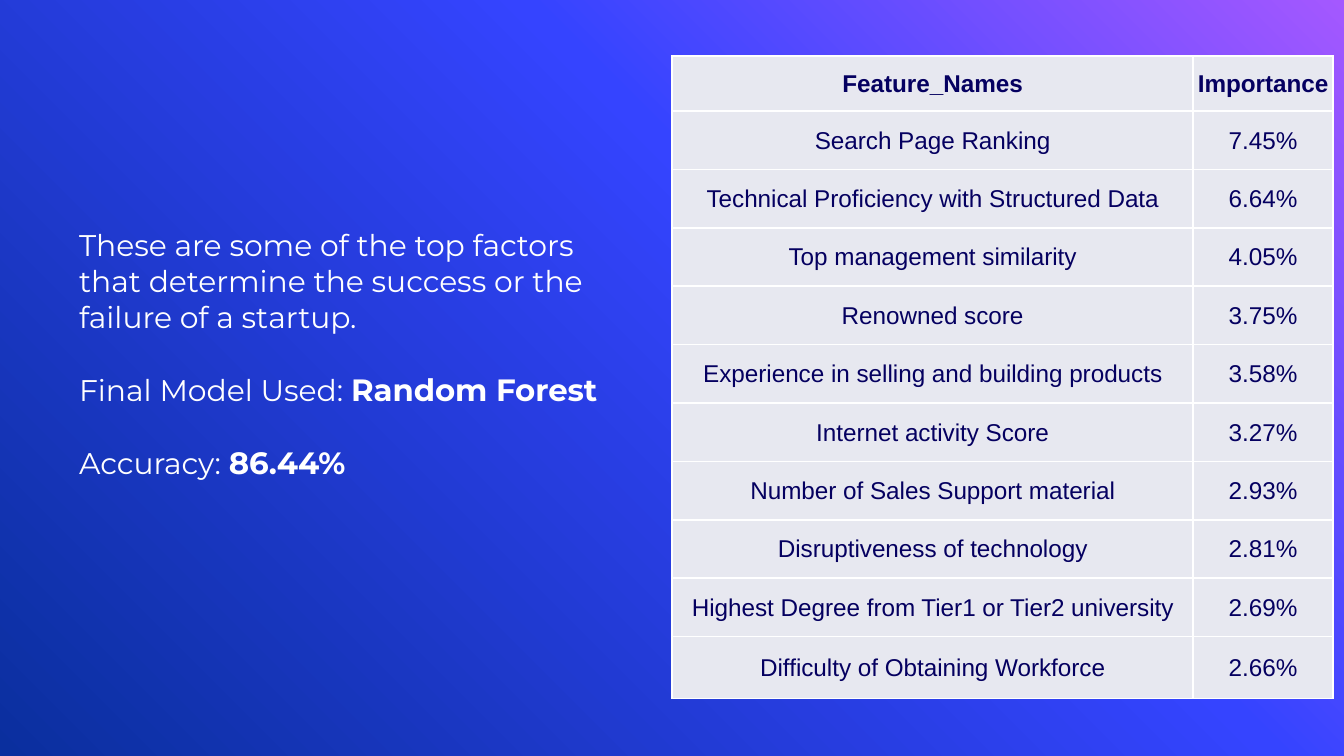
from lxml import etree
from copy import deepcopy

from pptx import Presentation
from pptx.dml.color import RGBColor
from pptx.enum.text import MSO_ANCHOR, PP_ALIGN
from pptx.oxml.ns import qn
from pptx.util import Pt

MIDDLE = MSO_ANCHOR.MIDDLE
CENTER = PP_ALIGN.CENTER

WHITE = RGBColor(0xFF, 0xFF, 0xFF)
NAVY = RGBColor(0x05, 0x00, 0x60)
PALE = RGBColor(0xE7, 0xE8, 0xF0)
PURPLE = RGBColor(0xA4, 0x58, 0xFF)
BLUE = RGBColor(0x35, 0x44, 0xFF)
DEEP_BLUE = RGBColor(0x0A, 0x2F, 0x9E)

FEATURES = [
    ("Feature_Names", "Importance"),
    ("Search Page Ranking", "7.45%"),
    ("Technical Proficiency with Structured Data", "6.64%"),
    ("Top management similarity", "4.05%"),
    ("Renowned score", "3.75%"),
    ("Experience in selling and building products", "3.58%"),
    ("Internet activity Score", "3.27%"),
    ("Number of Sales Support material", "2.93%"),
    ("Disruptiveness of technology", "2.81%"),
    ("Highest Degree from Tier1 or Tier2 university", "2.69%"),
    ("Difficulty of Obtaining Workforce", "2.66%"),
]
SUMMARY = [
    ("These are some of the top factors that determine the success "
     "or the failure of a startup.", ""),
    ("Final Model Used: ", "Random Forest"),
    ("Accuracy: ", "86.44%"),
]


def px(n):
    return round(n * 9144000 / 1344)


def add_run(paragraph, text, font, size, color, bold):
    run = paragraph.add_run()
    run.text = text
    run.font.name = font
    run.font.size = Pt(size)
    run.font.color.rgb = color
    run.font.bold = bold


prs = Presentation()
prs.slide_width, prs.slide_height = px(1344), px(756)
slide = prs.slides.add_slide(prs.slide_layouts[6])

# Background gradient, from the top right to the bottom left
background = slide.background.fill
background.gradient()
background.gradient_angle = 225
stop_list = next(slide.element.iter(qn("a:gsLst")))
stop_list.append(deepcopy(stop_list[0]))
stops = [(0, PURPLE), (0.39, BLUE), (1, DEEP_BLUE)]
for stop, (position, color) in zip(background.gradient_stops, stops):
    stop.position = position
    stop.color.rgb = color

# Feature importance table
importance = slide.shapes.add_table(
    len(FEATURES), 2, px(672), px(56), px(661), px(643)).table
importance.columns[0].width = px(521)
importance.columns[1].width = px(140)
middle_rows = len(FEATURES) - 2
row_heights = [px(55)] + [px(526) // middle_rows] * middle_rows + [px(62)]

for r, (entry, height) in enumerate(zip(FEATURES, row_heights)):
    importance.rows[r].height = height
    for c, text in enumerate(entry):
        cell = importance.cell(r, c)
        cell.vertical_anchor = MIDDLE
        cell.margin_left = cell.margin_right = cell.margin_top = px(1)
        cell.margin_bottom = 0
        for side in ("a:lnL", "a:lnR", "a:lnT", "a:lnB"):
            border = etree.SubElement(
                cell._tc.get_or_add_tcPr(), qn(side), w=str(Pt(1)))
            line_fill = etree.SubElement(border, qn("a:solidFill"))
            etree.SubElement(line_fill, qn("a:srgbClr"), val=str(WHITE))
        cell.fill.solid()
        cell.fill.fore_color.rgb = PALE
        paragraph = cell.text_frame.paragraphs[0]
        paragraph.alignment = CENTER
        add_run(paragraph, text, "Arial", 13, NAVY, r == 0)

# Summary of the model
summary = slide.shapes.add_textbox(px(66), px(220), px(559), px(269)).text_frame
summary.word_wrap = True
for i, (lead, result) in enumerate(SUMMARY):
    paragraph = summary.add_paragraph() if i else summary.paragraphs[0]
    if i:
        paragraph.space_before = Pt(19.5)
    add_run(paragraph, lead, "Montserrat", 16, WHITE, False)
    if result:
        add_run(paragraph, result, "Montserrat", 16.5, WHITE, True)

prs.save("out.pptx")
